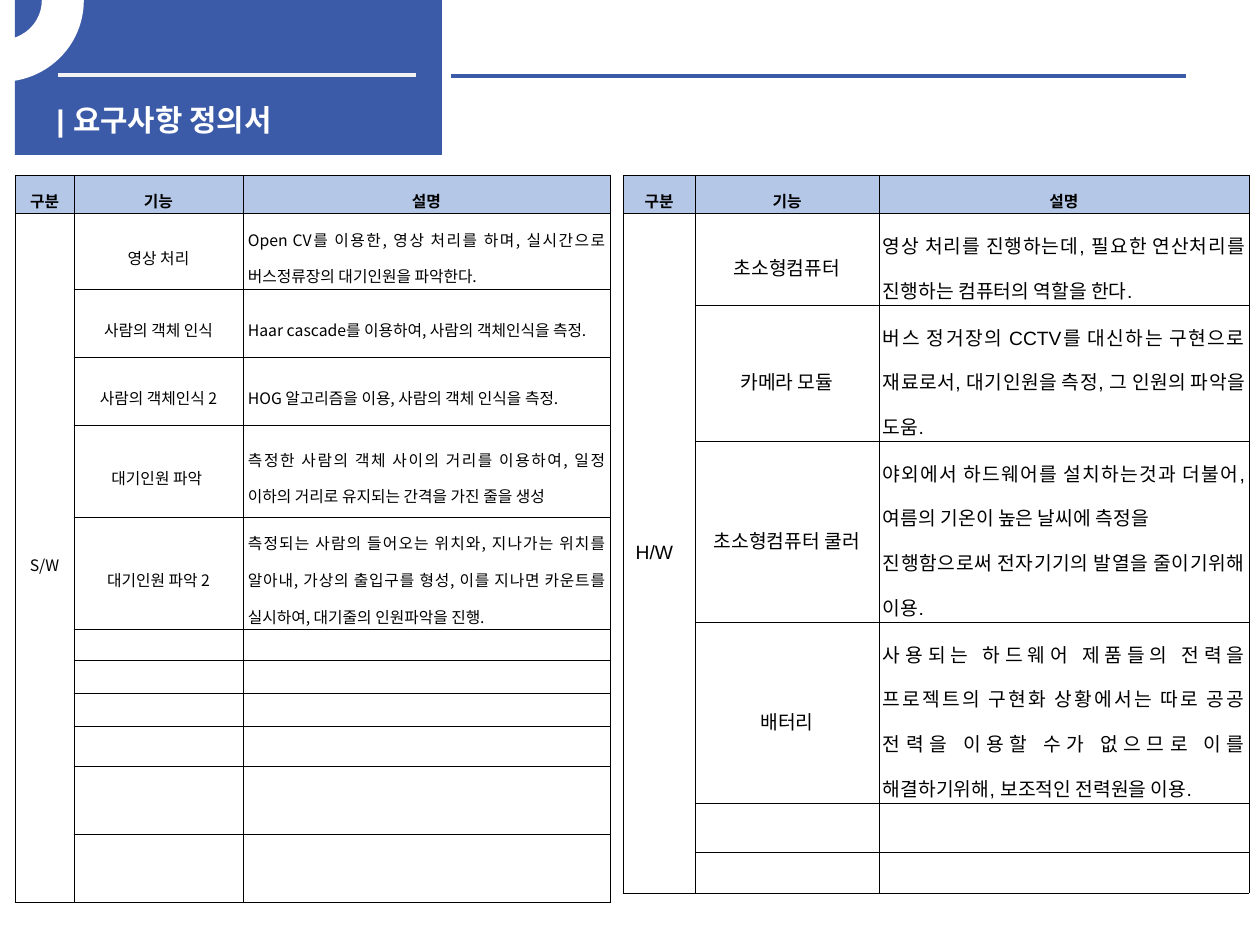
"""Build the requirements definition slide with its software and hardware tables."""
from lxml.etree import SubElement
from pptx import Presentation
from pptx.dml.color import RGBColor
from pptx.enum.shapes import MSO_CONNECTOR, MSO_SHAPE
from pptx.enum.text import MSO_ANCHOR, PP_ALIGN
from pptx.oxml import parse_xml
from pptx.oxml.ns import nsdecls, qn
from pptx.util import Pt

PX = 914400 // 126
BLUE = RGBColor(0x3B, 0x5A, 0xA8)
PALE_BLUE = RGBColor(0xB4, 0xC7, 0xE7)
LIGHT_GRAY = RGBColor(0xF2, 0xF2, 0xF2)
WHITE = RGBColor(0xFF, 0xFF, 0xFF)
BLACK = RGBColor(0, 0, 0)
KOREAN_FONT = "Noto Sans CJK KR"
HEADINGS = ("구분", "기능", "설명")
ALIGNMENTS = (PP_ALIGN.CENTER, PP_ALIGN.CENTER, PP_ALIGN.JUSTIFY)

SOFTWARE = [
    ("S/W", "영상 처리", "Open CV를 이용한, 영상 처리를 하며, 실시간으로 버스정류장의 대기인원을 파악한다."),
    ("", "사람의 객체 인식", "Haar cascade를 이용하여, 사람의 객체인식을 측정."),
    ("", "사람의 객체인식 2", "HOG 알고리즘을 이용, 사람의 객체 인식을 측정."),
    ("", "대기인원 파악 ", "측정한 사람의 객체 사이의 거리를 이용하여, 일정 이하의 거리로 유지되는 간격을 가진 줄을 생성"),
    ("", "대기인원 파악 2", "측정되는 사람의 들어오는 위치와, 지나가는 위치를 알아내, 가상의 출입구를 형성, "
     "이를 지나면 카운트를 실시하여, 대기줄의 인원파악을 진행."),
] + [("", "", "")] * 6
HARDWARE = [
    ("H/W", "초소형컴퓨터", "영상 처리를 진행하는데, 필요한 연산처리를 진행하는 컴퓨터의 역할을 한다."),
    ("", "카메라 모듈", "버스 정거장의 CCTV를 대신하는 구현으로 재료로서, 대기인원을 측정, 그 인원의 파악을 도움."),
    ("", "초소형컴퓨터 쿨러", "야외에서 하드웨어를 설치하는것과 더불어, 여름의 기온이 높은 날씨에 측정을 \n"
     "진행함으로써 전자기기의 발열을 줄이기위해 이용."),
    ("", "배터리", "사용되는 하드웨어 제품들의 전력을 프로젝트의 구현화 상황에서는 따로 공공 전력을 "
     "이용할 수가 없으므로 이를 해결하기위해, 보조적인 전력원을 이용."),
] + [("", "", "")] * 2
TABLES = [
    (15, (59, 169, 367), (38, 76, 68, 68, 92, 112, 31, 33, 33, 40, 68, 69),
     SOFTWARE, KOREAN_FONT, KOREAN_FONT, 9, 5),
    (623, (72, 184, 370), (38, 92, 136, 181, 181, 49, 41),
     HARDWARE, "Calibri", "Arial", 11, 4),
]


def style_text(paragraph, font_name, size, color, bold=False):
    for run in paragraph.runs:
        font = run.font
        font.name, font.size, font.bold = font_name, Pt(size), bold
        font.color.rgb = color
        font._element.set("kern", "0")
        SubElement(font._element, qn("a:ea")).set("typeface", KOREAN_FONT)


def add_borders(cell):
    properties = cell._tc.get_or_add_tcPr()
    for side in "LRTB":
        properties.append(parse_xml(
            f'<a:ln{side} {nsdecls("a")} w="3556"><a:solidFill>'
            f'<a:srgbClr val="{BLACK}"/></a:solidFill></a:ln{side}>'))


presentation = Presentation()
presentation.slide_width, presentation.slide_height = 1260 * PX, 945 * PX
slide = presentation.slides.add_slide(presentation.slide_layouts[6])
shapes = slide.shapes

banner = shapes.add_shape(MSO_SHAPE.RECTANGLE, 15 * PX, 0, 427 * PX, 155 * PX)
banner.shadow.inherit = False
banner.fill.solid()
banner.fill.fore_color.rgb = BLUE
banner.line.fill.background()

for left, right, y, color in ((58, 416, 75, LIGHT_GRAY), (451, 1186, 76, BLUE)):
    rule = shapes.add_connector(MSO_CONNECTOR.STRAIGHT, left * PX, y * PX, right * PX, y * PX)
    rule.line.color.rgb = color
    rule.line.width = Pt(2.25)
    SubElement(rule._element.spPr, qn("a:effectLst"))

title = shapes.add_textbox(44 * PX, 96 * PX, 387 * PX, 40 * PX)
title.text_frame.word_wrap = True
title.text_frame.text = "| 요구사항 정의서"
style_text(title.text_frame.paragraphs[0], "Arial", 17, WHITE, True)

ring = shapes.add_shape(MSO_SHAPE.BLOCK_ARC, -80 * PX, -80 * PX, 163 * PX, 161 * PX)
ring.shadow.inherit = False
ring.adjustments[0], ring.adjustments[1], ring.adjustments[2] = 96.95, 0, 0.25
ring._element.spPr.xfrm.set("flipV", "1")
ring.fill.solid()
ring.fill.fore_color.rgb = WHITE
ring.line.color.rgb = WHITE
ring.line.width = Pt(1)

for left, widths, heights, body, heading_font, body_font, body_size, margin in TABLES:
    rows = [HEADINGS] + body
    frame = shapes.add_table(len(rows), len(widths), left * PX, 175 * PX,
                             sum(widths) * PX, sum(heights) * PX)
    table = frame.table
    table.first_row = table.horz_banding = False
    for column, width in zip(table.columns, widths):
        column.width = width * PX
    for row, height in zip(table.rows, heights):
        row.height = height * PX
    for row_index, texts in enumerate(rows):
        is_heading = row_index == 0
        for column_index, text in enumerate(texts):
            cell = table.cell(row_index, column_index)
            add_borders(cell)
            if is_heading:
                cell.fill.solid()
                cell.fill.fore_color.rgb = PALE_BLUE
            else:
                cell.fill.background()
            cell.vertical_anchor = MSO_ANCHOR.MIDDLE
            is_plain = text == "H/W"
            if not is_plain:
                cell.margin_left = cell.margin_right = margin * PX
                cell.margin_top = cell.margin_bottom = PX
            cell.text_frame.text = text
            for paragraph in cell.text_frame.paragraphs:
                if not text:
                    paragraph._p.get_or_add_endParaRPr().set("sz", "900")
                elif not is_plain:
                    paragraph.line_spacing = 1.6
                    paragraph.alignment = PP_ALIGN.CENTER if is_heading else ALIGNMENTS[column_index]
                style_text(paragraph, heading_font if is_heading else body_font,
                           9 if is_heading else body_size, BLACK, is_heading)
    table.cell(1, 0).merge(table.cell(len(rows) - 1, 0))

presentation.save("out.pptx")
